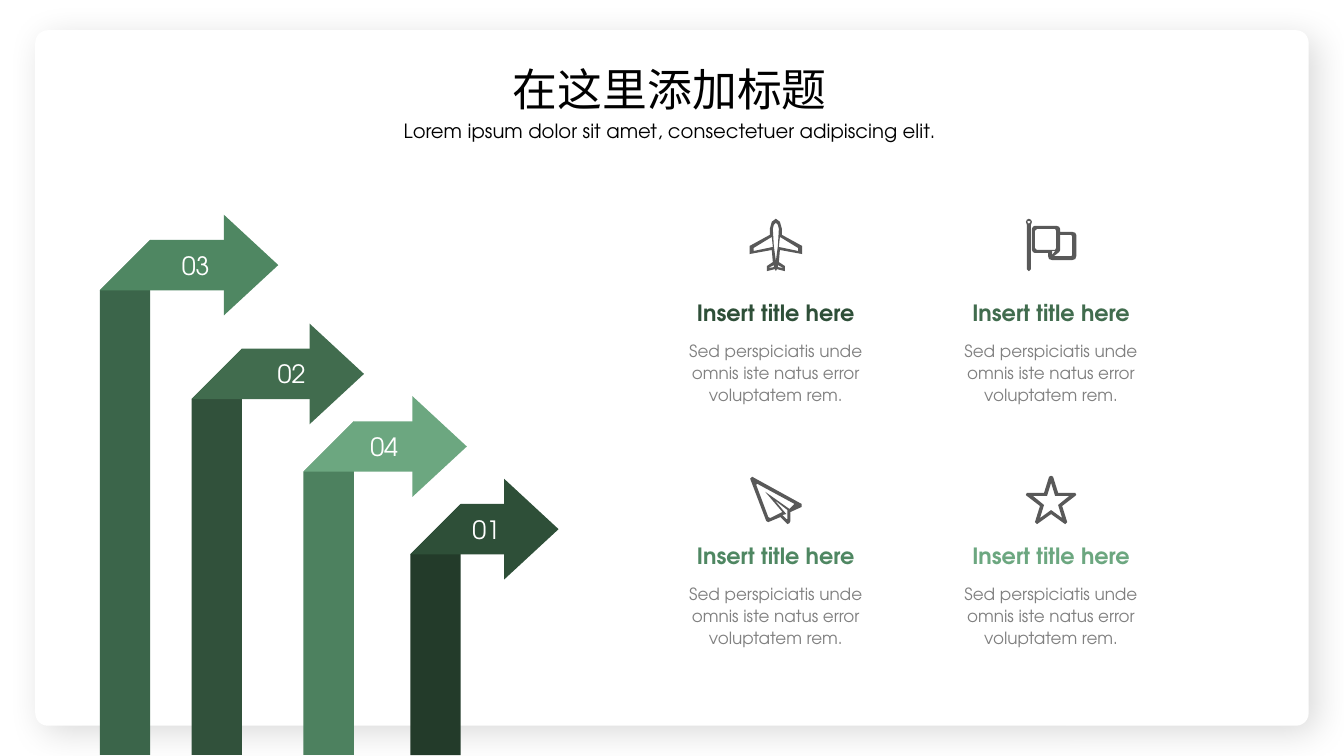
from lxml.etree import SubElement
from pptx import Presentation
from pptx.dml.color import RGBColor
from pptx.enum.shapes import MSO_SHAPE as Preset
from pptx.enum.text import MSO_ANCHOR as Anchor, MSO_AUTO_SIZE as AutoSize, PP_ALIGN as Align
from pptx.oxml.ns import qn
from pptx.util import Inches, Pt

WIDTH, HEIGHT = 13.33, 7.5
LATIN, CHINESE = "TeX Gyre Adventor", "Noto Sans CJK SC"
COLORS = {
    "white": "FFFFFF", "black": "000000", "body": "808080", "icon": "595959",
    "forest": "2E4F38", "moss": "416C4E", "fern": "4F8762", "mint": "6CA780",
    "forest stem": "233B2A", "moss stem": "31513B", "fern stem": "3B654A", "mint stem": "4D815F",
}
ARROWS = [
    ("03", "fern", 0, 0.24, 1.23, 0.2),
    ("02", "moss", 0.91, 1.32, 2.08, 0.1),
    ("04", "mint", 2.02, 2.04, 3.1, 0.2),
    ("01", "forest", 3.08, 2.86, 4.01, 0.1),
]


def mirrored(half, width):
    return half + [(width - x, y) for x, y in reversed(half)]


def flipped(contour, width):
    return [(width - x, y) for x, y in contour]


WING = [(30, 18), (48, 29), (48, 32), (29, 28)]
TAIL = [(34, 49), (28, 46), (28, 48)]
AIRPLANE = [
    mirrored([(26, 0), (30, 3), (32, 10), (32, 16), (52, 27), (52, 35), (30, 31), (29, 43),
              (35, 47), (35, 52), (27, 50), (26, 52)], 52),
    mirrored([(26, 4), (28, 6), (29, 10), (28, 27), (26, 42)], 52),
    WING, flipped(WING, 52), TAIL, flipped(TAIL, 52),
]
FLAG = [
    [(0, 3), (1, 1), (3, 0), (5, 1), (6, 3), (5, 6), (5, 50), (3, 52), (1, 50), (1, 6)],
    [(1, 3), (3, 2), (5, 3), (3, 5)],
    [(6, 10), (7, 8), (9, 7), (30, 7), (33, 8), (34, 10), (34, 13), (46, 13), (49, 14), (50, 16),
     (50, 37), (49, 40), (46, 41), (26, 41), (23, 40), (22, 37), (22, 34), (9, 34), (7, 33), (6, 31)],
    [(9, 12), (11, 10), (29, 10), (30, 12), (30, 29), (29, 31), (11, 31), (9, 29)],
    [(46, 18), (45, 16), (34, 16), (34, 31), (33, 33), (28, 37), (45, 37), (46, 36)],
    [(26, 36), (29, 32), (26, 32)],
]
PAPER_PLANE = [
    [(0, 2), (2, 0), (51, 27), (51, 30), (40, 35), (40, 44), (39, 46), (37, 47), (30, 40), (18, 45), (16, 44)],
    [(44, 27), (7, 7), (6, 8), (18, 40), (20, 41), (32, 35), (15, 15), (39, 32)],
    [(37, 42), (37, 33), (24, 23), (35, 36), (36, 37), (32, 38), (36, 42)],
]
STAR = [
    mirrored([(25, 0), (27, 1), (32, 17), (49, 17), (50, 19), (49, 20), (36, 30), (41, 46),
              (39, 48), (25, 38)], 50),
    mirrored([(25, 7), (29, 20), (43, 20), (32, 29), (36, 42), (25, 34)], 50),
]
DETAILS = [("forest", AIRPLANE), ("moss", FLAG), ("fern", PAPER_PLANE), ("mint", STAR)]


def rgb(color):
    return RGBColor.from_string(COLORS[color])


def paint(shape, color):
    shape.fill.solid()
    shape.fill.fore_color.rgb = rgb(color)
    shape.line.fill.background()
    shape.shadow.inherit = False


def outline(slide, left, top, contours, color):
    first, *others = contours
    builder = slide.shapes.build_freeform(*first[0], scale=Inches(0.01))
    builder.add_line_segments(first[1:])
    for contour in others:
        builder.move_to(*contour[0])
        builder.add_line_segments(contour[1:])
    shape = builder.convert_to_shape(Inches(left), Inches(top))
    paint(shape, color)
    return shape


def polygon(slide, left, top, corners, color):
    hundredths = [(round(100 * x), round(100 * y)) for x, y in corners]
    return outline(slide, left, top, [hundredths], color)


def write(frame, words, size, color, align=Align.CENTER, font=LATIN, bold=False):
    paragraph = frame.paragraphs[0]
    paragraph.text = words
    paragraph.alignment = align
    paragraph.font.size = Pt(size)
    paragraph.font.bold = bold
    paragraph.font.color.rgb = rgb(color)
    paragraph.font.name = font
    SubElement(paragraph.font._element, qn("a:ea"), typeface=font)
    return paragraph


def text_box(slide, box, words, size, color, wrap=False, **style):
    frame = slide.shapes.add_textbox(*map(Inches, box)).text_frame
    frame.word_wrap = wrap
    frame.auto_size = AutoSize.SHAPE_TO_FIT_TEXT
    return write(frame, words, size, color, **style)


def add_card(slide, box):
    card = slide.shapes.add_shape(Preset.ROUNDED_RECTANGLE, *map(Inches, box))
    card.adjustments[0] = 0.018
    paint(card, "white")
    effects = card._element.spPr.find(qn("a:effectLst"))
    shadow = SubElement(effects, qn("a:outerShdw"), blurRad=str(Pt(25)), dist=str(Pt(8)),
                        dir=str(45 * 60000), algn="tl", rotWithShape="0")
    shade = SubElement(shadow, qn("a:srgbClr"), val=COLORS["black"])
    SubElement(shade, qn("a:alpha"), val="15000")


def add_heading(slide, box):
    left, top, width, height = box
    text_box(slide, (left, top, width, 0.64), "在这里添加标题", 32, "black", font=CHINESE)
    text_box(slide, (left, top + 0.57, width, height - 0.57),
             "Lorem ipsum dolor sit amet, consectetuer adipiscing elit.", 14, "black")


def add_arrows(slide, box, fold=0.5, head_width=0.54, head_height=1.0, overlap=0.06):
    left, top, _, height = box
    for number, color, x, y, head_x, margin in ARROWS:
        stem = height - y
        band = head_x + overlap - x
        polygon(slide, left + x, top + y,
                [(fold, 0), (fold, stem), (0, stem), (0, fold)], color + " stem")
        label = polygon(slide, left + x, top + y,
                        [(band, fold), (0, fold), (fold, 0), (band, 0)], color)
        frame = label.text_frame
        frame.vertical_anchor = Anchor.MIDDLE
        frame.margin_top = frame.margin_bottom = 0
        frame.margin_left, frame.margin_right = Inches(0.3 - margin), Inches(margin)
        write(frame, number, 18, "white", Align.RIGHT)
        polygon(slide, left + head_x, top + y + (fold - head_height) / 2,
                [(head_width, head_height / 2), (0, 0), (0, head_height)], color)


def add_detail(slide, box, color, icon, icon_gap):
    left, top, width, _ = box
    center, title_top = left + width / 2, top + 0.75
    columns, rows = zip(*(point for contour in icon for point in contour))
    outline(slide, center - max(columns) / 200, title_top - icon_gap - max(rows) / 100, icon, "icon")
    text_box(slide, (center - 0.9, title_top, 1.8, 0.37), "Insert title here", 16, color, bold=True)
    body = text_box(slide, (center - 1.17, title_top + 0.39, 2.34, 0.75),
                    "Sed perspiciatis unde omnis iste natus error voluptatem rem.",
                    12, "body", wrap=True)
    body.line_spacing = 1.1


def add_details(slide, box):
    left, top, width, height = box
    column, row = width / 2, height / 2
    for index, (color, icon) in enumerate(DETAILS):
        y, x = divmod(index, 2)
        add_detail(slide, (left + x * column, top + y * row, column, row),
                   color, icon, (0.23, 0.13)[y])


def main():
    deck = Presentation()
    deck.slide_width, deck.slide_height = Inches(WIDTH), Inches(HEIGHT)
    slide = deck.slides.add_slide(deck.slide_layouts[6])
    add_card(slide, (0.35, 0.3, WIDTH - 0.7, HEIGHT - 0.6))
    add_arrows(slide, (0.99, 2.14, 4.55, 5.35))
    add_details(slide, (6.33, 2.17, 5.46, 4.82))
    add_heading(slide, (3.88, 0.56, 5.53, 0.91))
    deck.save("out.pptx")


if __name__ == "__main__":
    main()
